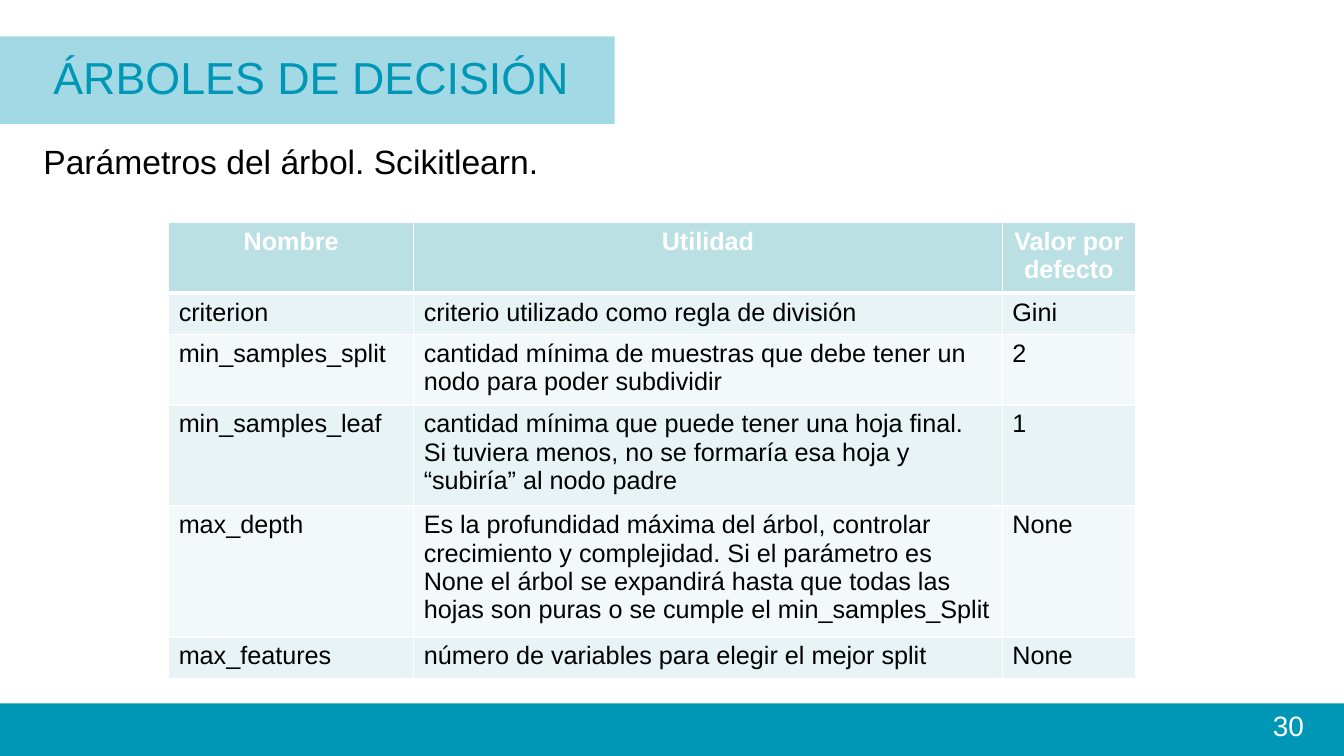
from lxml.etree import SubElement
from pptx import Presentation
from pptx.dml.color import RGBColor
from pptx.enum.shapes import MSO_SHAPE as Shape
from pptx.enum.text import MSO_ANCHOR as Anchor, PP_ALIGN as Align
from pptx.oxml.ns import qn
from pptx.util import Pt

TEAL = RGBColor(0x00, 0x97, 0xB6)
WHITE = RGBColor(0xFF, 0xFF, 0xFF)
BLACK = RGBColor(0x00, 0x00, 0x00)
HEADER = RGBColor(0xBB, 0xE0, 0xE3)
BANDS = [RGBColor(0xF3, 0xF9, 0xFA), RGBColor(0xE7, 0xF3, 0xF4)]

PARAMETERS = [
    ("Nombre", "Utilidad", "Valor por defecto"),
    ("criterion", "criterio utilizado como regla de división", "Gini"),
    ("min_samples_split",
     "cantidad mínima de muestras que debe tener un nodo para poder subdividir", "2"),
    ("min_samples_leaf",
     "cantidad mínima que puede tener una hoja final. Si tuviera menos, "
     "no se formaría esa hoja y “subiría” al nodo padre", "1"),
    ("max_depth",
     "Es la profundidad máxima del árbol, controlar crecimiento y complejidad. "
     "Si el parámetro es None el árbol se expandirá hasta que todas las hojas "
     "son puras o se cumple el min_samples_Split", "None"),
    ("max_features", "número de variables para elegir el mejor split", "None"),
]
COLUMN_WIDTHS = [175, 420.5, 95]
ROW_HEIGHTS = [47, 29.5, 47, 67.5, 88, 29.5]


def write(frame, text, size=18, color=BLACK, bold=False, align=Align.LEFT,
          anchor=Anchor.TOP, spacing=None, font="Arial"):
    frame.word_wrap = True
    frame.vertical_anchor = anchor
    para = frame.paragraphs[0]
    para.alignment = align
    para.line_spacing = spacing
    span = para.add_run()
    span.text = text
    span.font.name = font
    span.font.size = Pt(size)
    span.font.bold = bold
    span.font.color.rgb = color


class Page:
    def __init__(self, deck):
        self.slide = deck.slides.add_slide(deck.slide_layouts[5])
        self.shapes = self.slide.shapes

    def bar(self, left, top, width, height, opacity=None):
        box = self.shapes.add_shape(
            Shape.RECTANGLE, Pt(left), Pt(top), Pt(width), Pt(height))
        box.shadow.inherit = False
        box.fill.solid()
        box.fill.fore_color.rgb = TEAL
        box.line.fill.background()
        if opacity is not None:
            color = box.fill._xPr.find(".//" + qn("a:srgbClr"))
            SubElement(color, qn("a:alpha"), val=str(opacity * 1000))

    def label(self, text, left, top, width, height, **style):
        box = self.shapes.add_textbox(Pt(left), Pt(top), Pt(width), Pt(height))
        write(box.text_frame, text, **style)

    def title(self, text, left, top, width, height, **style):
        box = self.shapes.title
        box.left, box.top = Pt(left), Pt(top)
        box.width, box.height = Pt(width), Pt(height)
        frame = box.text_frame
        frame.margin_left = frame.margin_right = 0
        frame.margin_top = frame.margin_bottom = 0
        write(frame, text, **style)

    def border(self, cell, side, width):
        line = SubElement(cell._tc.get_or_add_tcPr(), qn("a:ln" + side),
                          w=str(Pt(width)))
        fill = SubElement(line, qn("a:solidFill"))
        SubElement(fill, qn("a:srgbClr"), val=str(WHITE))

    def table(self, rows, left, top, widths, heights):
        table = self.shapes.add_table(
            len(rows), len(widths), Pt(left), Pt(top),
            Pt(sum(widths)), Pt(sum(heights))).table
        for column, width in zip(table.columns, widths):
            column.width = Pt(width)
        for index, (row, height, texts) in enumerate(zip(table.rows, heights, rows)):
            row.height = Pt(height)
            heading = index == 0
            for cell, text in zip(row.cells, texts):
                for side in "LRTB":
                    thick = (heading and side == "B") or (index == 1 and side == "T")
                    self.border(cell, side, 3 if thick else 1)
                cell.fill.solid()
                cell.fill.fore_color.rgb = HEADER if heading else BANDS[index % 2]
                write(cell.text_frame, text, bold=heading,
                      color=WHITE if heading else BLACK,
                      align=Align.CENTER if heading else Align.LEFT)


def main():
    deck = Presentation()
    deck.slide_width, deck.slide_height = Pt(960), Pt(540)
    page = Page(deck)
    page.bar(0, 502.5, 960, 37.5)
    page.bar(0, 26, 439, 62.5, opacity=36)
    page.label("30", 770.5, 502.5, 168, 37.5, size=20, color=WHITE, align=Align.RIGHT)
    page.table(PARAMETERS, 120.5, 159, COLUMN_WIDTHS, ROW_HEIGHTS)
    page.label("ÁRBOLES DE DECISIÓN", 31, 32, 449, 45, size=32, color=TEAL,
               anchor=Anchor.MIDDLE)
    page.title("Parámetros del árbol. Scikitlearn.", 31, 111, 864, 11.5, size=24,
               anchor=Anchor.MIDDLE, spacing=0.9)
    deck.save("out.pptx")


if __name__ == "__main__":
    main()
